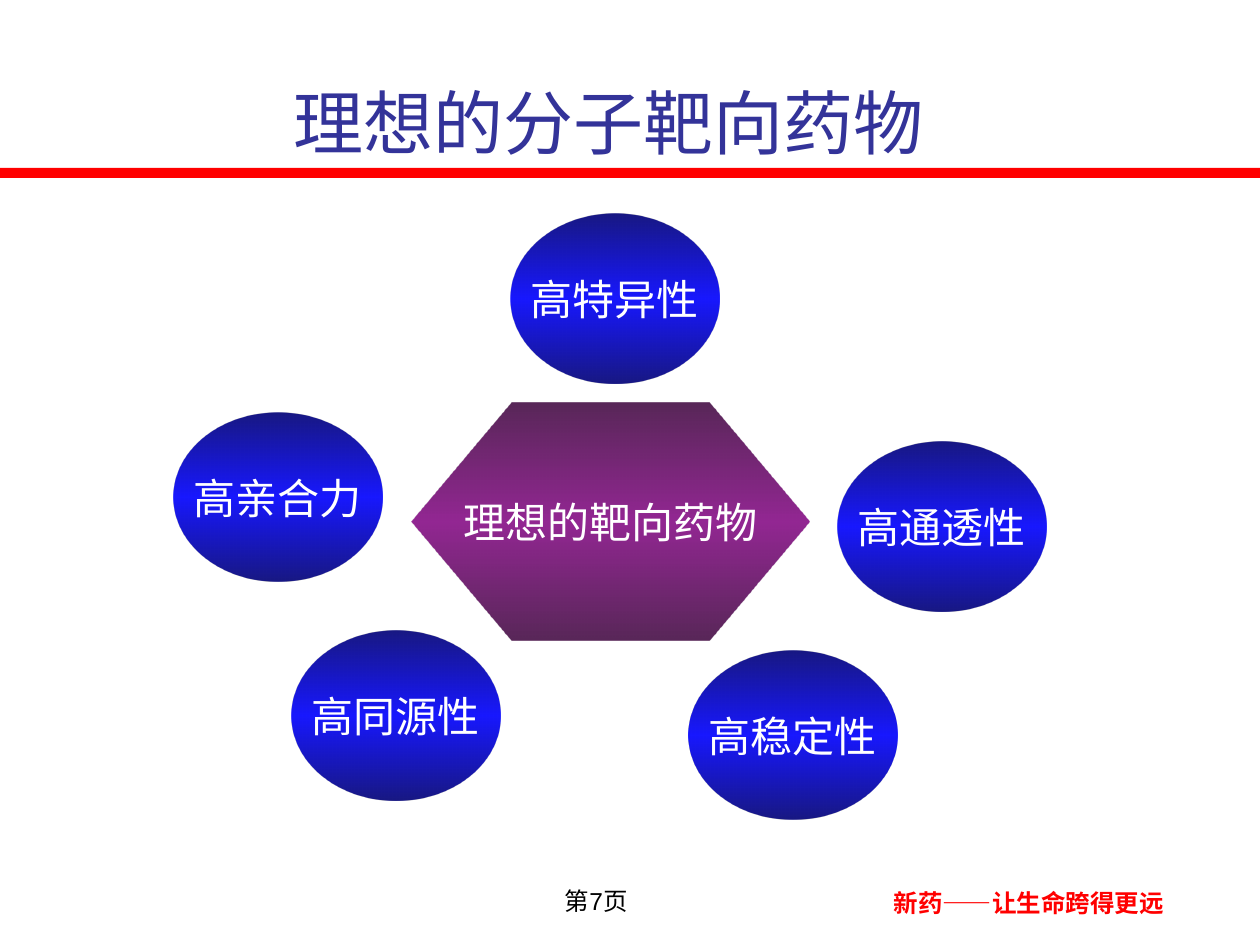
from copy import deepcopy

from lxml.etree import SubElement
from pptx import Presentation
from pptx.dml.color import RGBColor
from pptx.enum.shapes import MSO_SHAPE as Shape
from pptx.enum.text import MSO_ANCHOR as Anchor, PP_ALIGN as Align
from pptx.oxml.ns import qn
from pptx.util import Emu, Pt

EMU_PER_PX = 914400 / 126
OVAL_SIZE = (208, 169)
OVAL_GRADIENT = ("000076", "0000FF", 90)
HEXAGON_GRADIENT = ("3B003B", "800080", 84)
QUALITIES = [
    ("高亲合力", 174, 413),
    ("高通透性", 838, 442),
    ("高特异性", 511, 214),
    ("高同源性", 292, 631),
    ("高稳定性", 689, 651),
]


def px(*lengths):
    return [Emu(round(length * EMU_PER_PX)) for length in lengths]


def color(hex_value):
    return RGBColor.from_string(hex_value)


class SlideBuilder:
    """Hold the style and the current slide, and draw each kind of element."""

    text_font = "Arial"
    diagram_font = "Karla"
    diagram_size = 24

    def __init__(self, deck):
        self.slide = deck.slides.add_slide(deck.slide_layouts[6])

    def label(self, frame, text, name, size, hex_value, align=Align.CENTER, bold=False):
        paragraph = frame.paragraphs[0]
        paragraph.text = text
        paragraph.alignment = align
        font = paragraph.font
        font.name, font.size, font.bold = name, Pt(size), bold
        font.color.rgb = color(hex_value)

    def text(self, box, text, size, hex_value, anchor=Anchor.TOP, **style):
        frame = self.slide.shapes.add_textbox(*px(*box)).text_frame
        frame.word_wrap = True
        frame.vertical_anchor = anchor
        self.label(frame, text, self.text_font, size, hex_value, **style)

    def shape(self, kind, box):
        shape = self.slide.shapes.add_shape(kind, *px(*box))
        shape.shadow.inherit = False
        shape.line.fill.background()
        return shape

    def bar(self, box, hex_value):
        fill = self.shape(Shape.RECTANGLE, box).fill
        fill.solid()
        fill.fore_color.rgb = color(hex_value)

    def node(self, kind, box, text, gradient):
        shape = self.shape(kind, box)
        self.shade(shape, *gradient)
        frame = shape.text_frame
        frame.word_wrap = False
        frame.vertical_anchor = Anchor.MIDDLE
        self.label(frame, text, self.diagram_font, self.diagram_size, "FFFFFF")
        return shape

    def shade(self, shape, edge, middle, opacity):
        fill = shape.fill
        fill.gradient()
        fill.gradient_angle = 270
        stop_list = shape.element.spPr.find(qn("a:gradFill")).find(qn("a:gsLst"))
        stop_list.append(deepcopy(stop_list[0]))
        stops = zip(fill.gradient_stops, stop_list, (edge, middle, edge), (0, 0.5, 1))
        for stop, element, hex_value, position in stops:
            stop.color.rgb = color(hex_value)
            stop.position = position
            SubElement(element[0], qn("a:alpha"), val=str(opacity * 1000))


def main():
    deck = Presentation()
    deck.slide_width, deck.slide_height = px(1260, 945)
    page = SlideBuilder(deck)
    page.bar((0, 168, 1260, 10), "FF0000")
    page.text((829, 882, 400, 42), "新药——让生命跨得更远", 14, "FF0000", bold=True)
    page.text((347, 880, 293, 65), "第7页", 14, "000000", align=Align.RIGHT)
    page.text((73, 73, 1071, 97), "理想的分子靶向药物", 40, "333399", anchor=Anchor.MIDDLE)
    for quality, left, top in QUALITIES:
        page.node(Shape.OVAL, (left, top, *OVAL_SIZE), quality, OVAL_GRADIENT)
    hexagon = page.node(
        Shape.HEXAGON, (412, 403, 397, 238), "理想的靶向药物", HEXAGON_GRADIENT
    )
    hexagon.adjustments[0] = 0.42
    deck.save("out.pptx")


if __name__ == "__main__":
    main()
